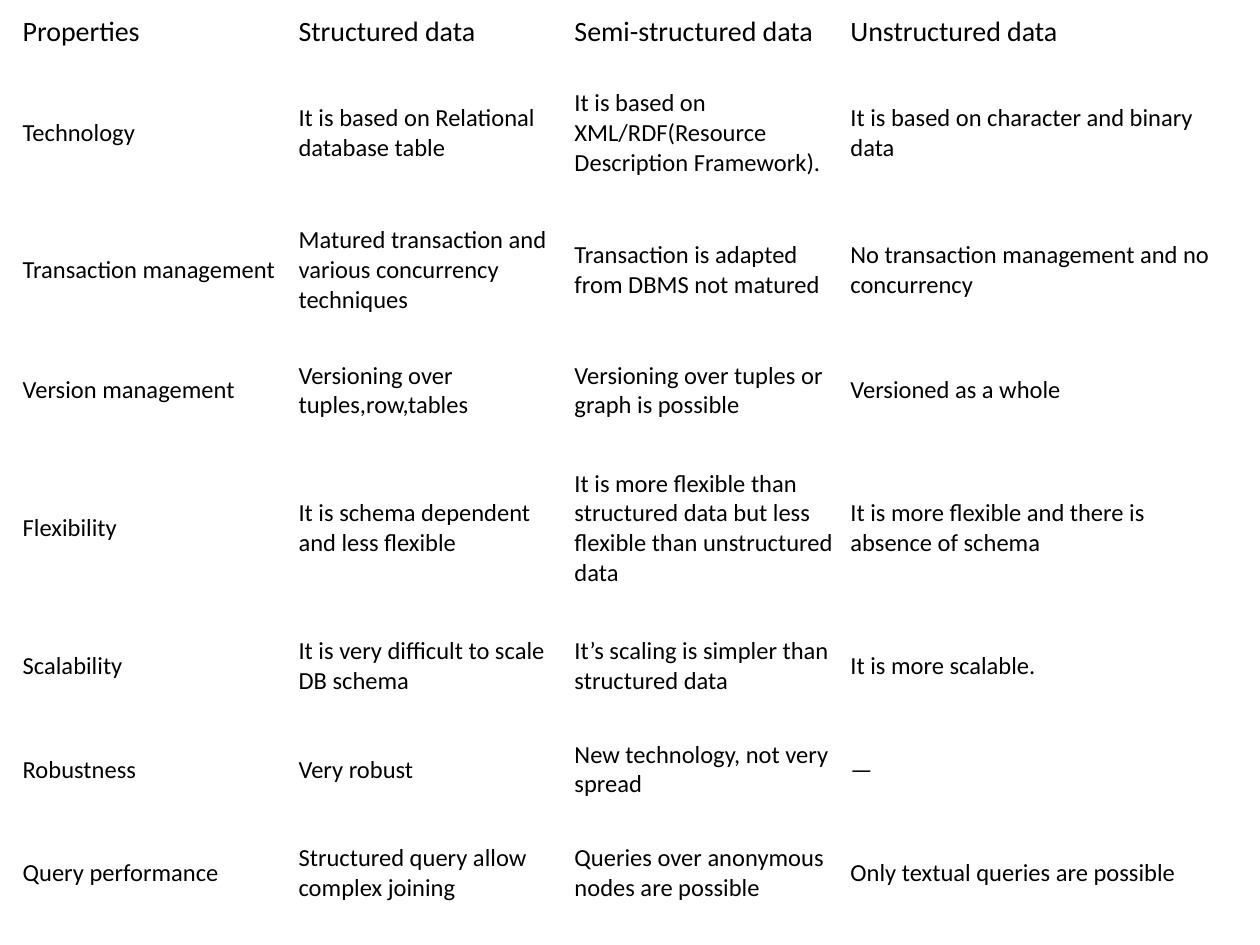
"""Build a slide that compares structured, semi-structured and unstructured data."""
from typing import NamedTuple

from pptx import Presentation
from pptx.dml.color import RGBColor
from pptx.enum.text import MSO_ANCHOR
from pptx.table import Table
from pptx.util import Inches, Pt

BLACK = RGBColor(0, 0, 0)
WHITE = RGBColor(255, 255, 255)
FONT = "Calibri"
SIDE = 0.06
WIDTHS = (2.19, 2.19, 2.19, 2.99)


class Style(NamedTuple):
    size: int
    pad: float


class Row(NamedTuple):
    height: float
    texts: tuple[str, str, str, str]
    style: Style


HEAD = Style(16, 0.06)
BODY = Style(14, 0.09)

ROWS = (
    Row(0.51, ("Properties", "Structured data", "Semi-structured data",
               "Unstructured data"), HEAD),
    Row(1.09, ("Technology", "It is based on Relational database table",
               "It is based on XML/RDF(Resource Description Framework).",
               "It is based on character and binary data"), BODY),
    Row(1.09, ("Transaction management",
               "Matured transaction and various concurrency techniques",
               "Transaction is adapted from DBMS not matured",
               "No transaction management and no concurrency"), BODY),
    Row(0.82, ("Version management", "Versioning over tuples,row,tables",
               "Versioning over tuples or graph is possible",
               "Versioned as a whole"), BODY),
    Row(1.37, ("Flexibility", "It is schema dependent and less flexible",
               "It is more flexible than structured data but less flexible "
               "than unstructured data",
               "It is more flexible and there is absence of schema"), BODY),
    Row(0.82, ("Scalability", "It is very difficult to scale DB schema",
               "It’s scaling is simpler than structured data",
               "It is more scalable."), BODY),
    Row(0.82, ("Robustness", "Very robust", "New technology, not very spread",
               "—"), BODY),
    Row(0.82, ("Query performance", "Structured query allow complex joining",
               "Queries over anonymous nodes are possible",
               "Only textual queries are possible"), BODY),
)


def fill_row(table: Table, index: int, row: Row) -> None:
    table.rows[index].height = Inches(row.height)
    for col, text in enumerate(row.texts):
        cell = table.cell(index, col)
        cell.fill.solid()
        cell.fill.fore_color.rgb = WHITE
        cell.vertical_anchor = MSO_ANCHOR.MIDDLE
        cell.margin_left = cell.margin_right = Inches(SIDE)
        cell.margin_top = cell.margin_bottom = Inches(row.style.pad)
        run = cell.text_frame.paragraphs[0].add_run()
        run.text = text
        run.font.name = FONT
        run.font.size = Pt(row.style.size)
        run.font.bold = False
        run.font.color.rgb = BLACK


def main() -> None:
    deck = Presentation()
    deck.slide_width, deck.slide_height = Inches(10), Inches(7.5)
    slide = deck.slides.add_slide(deck.slide_layouts[6])
    high = sum(row.height for row in ROWS)
    frame = slide.shapes.add_table(
        len(ROWS), len(WIDTHS), Inches(0.12), Inches(0),
        Inches(sum(WIDTHS)), Inches(high))
    table = frame.table
    table.first_row = table.horz_banding = False
    for col, width in zip(table.columns, WIDTHS):
        col.width = Inches(width)
    for index, row in enumerate(ROWS):
        fill_row(table, index, row)
    deck.save("out.pptx")


if __name__ == "__main__":
    main()
